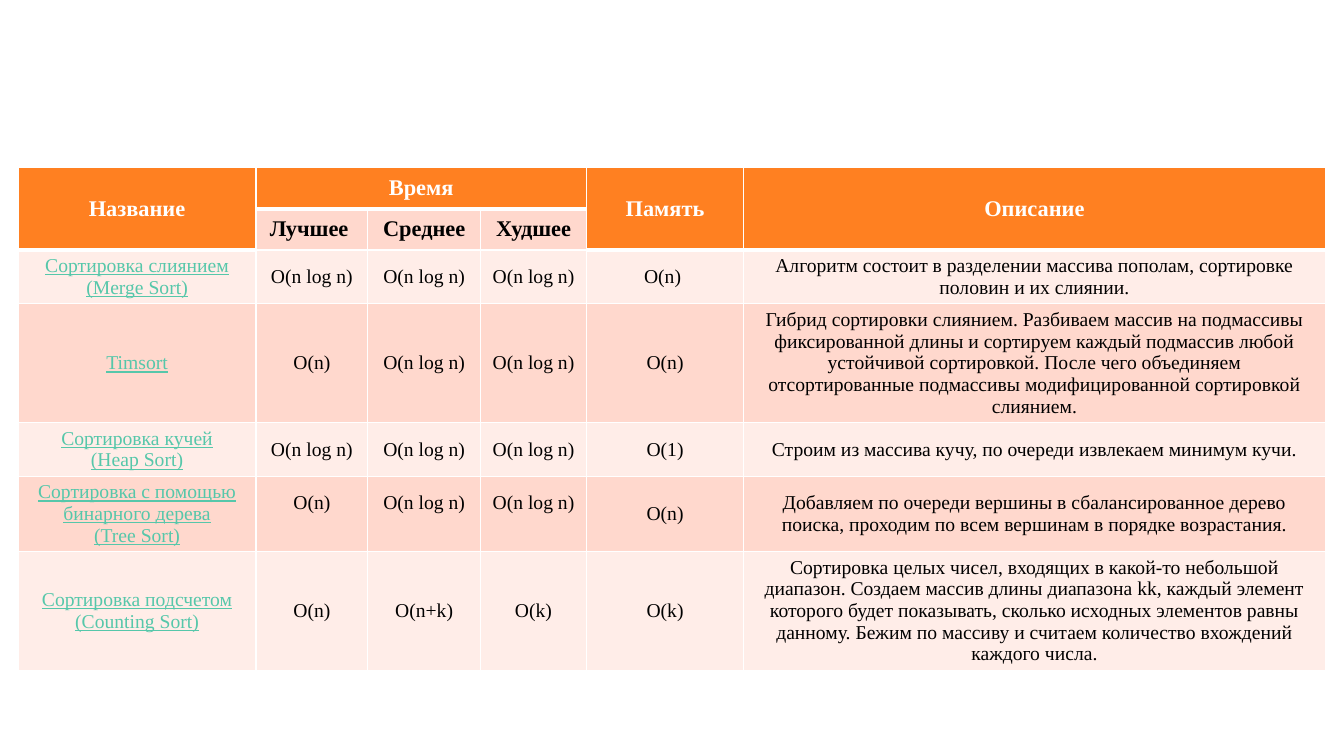
"""Builds a slide with a table comparing sorting algorithms."""
import copy

import lxml.etree
import pptx
import pptx.dml.color
import pptx.enum.text
import pptx.oxml.ns
import pptx.util

Cm = pptx.util.Cm
RGBColor = pptx.dml.color.RGBColor

ORANGE = RGBColor(0xFF, 0x80, 0x21)
PEACH = RGBColor(0xFF, 0xD8, 0xCD)
PALE_PEACH = RGBColor(0xFF, 0xED, 0xE8)
TEAL = RGBColor(0x56, 0xC7, 0xAA)
WHITE = RGBColor(0xFF, 0xFF, 0xFF)
BLACK = RGBColor(0, 0, 0)

COLUMN_WIDTHS = [5.99, 2.82, 2.84, 2.67, 3.96, 14.66]
ROW_HEIGHTS = [1.04, 1.04, 1.35, 3, 1.35, 1.89, 3]
TALL_HEADINGS = (0, 4, 5)
TREE_SORT_ROW = 5

HEADINGS = [
    ["Название", "Время", "", "", "Память", "Описание"],
    ["", "Лучшее ", "Среднее", "Худшее", "", ""],
]
ALGORITHMS = [
    ["Сортировка слиянием\n(Merge Sort)", "O(n log n)", "O(n log n)", "O(n log n)", "O(n) ",
     "Алгоритм состоит в разделении массива пополам, сортировке половин и их слиянии."],
    ["Timsort", "O(n)", "O(n log n)", "O(n log n)", "O(n)",
     "Гибрид сортировки слиянием. Разбиваем массив на подмассивы фиксированной длины "
     "и сортируем каждый подмассив любой устойчивой сортировкой. После чего объединяем "
     "отсортированные подмассивы модифицированной сортировкой слиянием."],
    ["Сортировка кучей\n(Heap Sort)", "O(n log n)", "O(n log n)", "O(n log n)", "O(1)",
     "Строим из массива кучу, по очереди извлекаем минимум кучи."],
    ["Сортировка с помощью бинарного дерева\n(Tree Sort)", "O(n)", "O(n log n)", "O(n log n)", "O(n)",
     "Добавляем по очереди вершины в сбалансированное дерево поиска, "
     "проходим по всем вершинам в порядке возрастания."],
    ["Сортировка подсчетом\n(Counting Sort)", "O(n)", "O(n+k)", "O(k)", "O(k)",
     "Сортировка целых чисел, входящих в какой-то небольшой диапазон. Создаем массив "
     "длины диапазона kk, каждый элемент которого будет показывать, сколько исходных "
     "элементов равны данному. Бежим по массиву и считаем количество вхождений каждого числа."],
]


def write(cell, text, size=14, color=BLACK, bold=False, underline=False):
    cell.vertical_anchor = pptx.enum.text.MSO_ANCHOR.MIDDLE
    paragraph = cell.text_frame.paragraphs[0]
    paragraph.text = text
    paragraph.alignment = pptx.enum.text.PP_ALIGN.CENTER
    for run in paragraph.runs:
        run.font.name = "Times New Roman"
        run.font.size = pptx.util.Pt(size)
        run.font.color.rgb = color
        run.font.bold = bold
        run.font.underline = underline
    for line_break in paragraph._p.xpath("a:br"):
        line_break.append(copy.deepcopy(paragraph.runs[0]._r.rPr))


def add_borders(cell, top, bottom):
    qn = pptx.oxml.ns.qn
    properties = cell._tc.get_or_add_tcPr()
    for position, (side, points) in enumerate([("L", 1), ("R", 1), ("T", top), ("B", bottom)]):
        border = lxml.etree.Element(qn("a:ln" + side), w=str(pptx.util.Pt(points)))
        fill = lxml.etree.SubElement(border, qn("a:solidFill"))
        lxml.etree.SubElement(fill, qn("a:srgbClr"), val=str(WHITE))
        properties.insert(position, border)


presentation = pptx.Presentation()
presentation.slide_width = Cm(33.87)
presentation.slide_height = Cm(19.05)
slide = presentation.slides.add_slide(presentation.slide_layouts[6])

rows = HEADINGS + ALGORITHMS
comparison = slide.shapes.add_table(
    len(rows), len(COLUMN_WIDTHS), Cm(0.46), Cm(4.22),
    Cm(sum(COLUMN_WIDTHS)), Cm(sum(ROW_HEIGHTS))).table
for column, width in zip(comparison.columns, COLUMN_WIDTHS):
    column.width = Cm(width)
for row, height in zip(comparison.rows, ROW_HEIGHTS):
    row.height = Cm(height)

for column in TALL_HEADINGS:
    comparison.cell(0, column).merge(comparison.cell(1, column))
comparison.cell(0, 1).merge(comparison.cell(0, 3))

for column in range(len(COLUMN_WIDTHS)):
    rule_above = 1
    for row, texts in enumerate(rows):
        cell = comparison.cell(row, column)
        is_heading = row < len(HEADINGS)
        is_orange = row == 0 or (row == 1 and column in TALL_HEADINGS)
        rule_below = 3 if is_orange else 1

        cell.fill.solid()
        cell.fill.fore_color.rgb = ORANGE if is_orange else PEACH if row % 2 else PALE_PEACH
        add_borders(cell, rule_above, rule_below)
        rule_above = rule_below

        if is_heading:
            write(cell, texts[column], size=16, color=WHITE if is_orange else BLACK, bold=True)
        elif column == 0:
            write(cell, texts[column], color=TEAL, underline=True)
        else:
            write(cell, texts[column])

for column in (1, 2, 3):
    comparison.cell(TREE_SORT_ROW, column).margin_bottom = Cm(0.67)

presentation.save("out.pptx")
